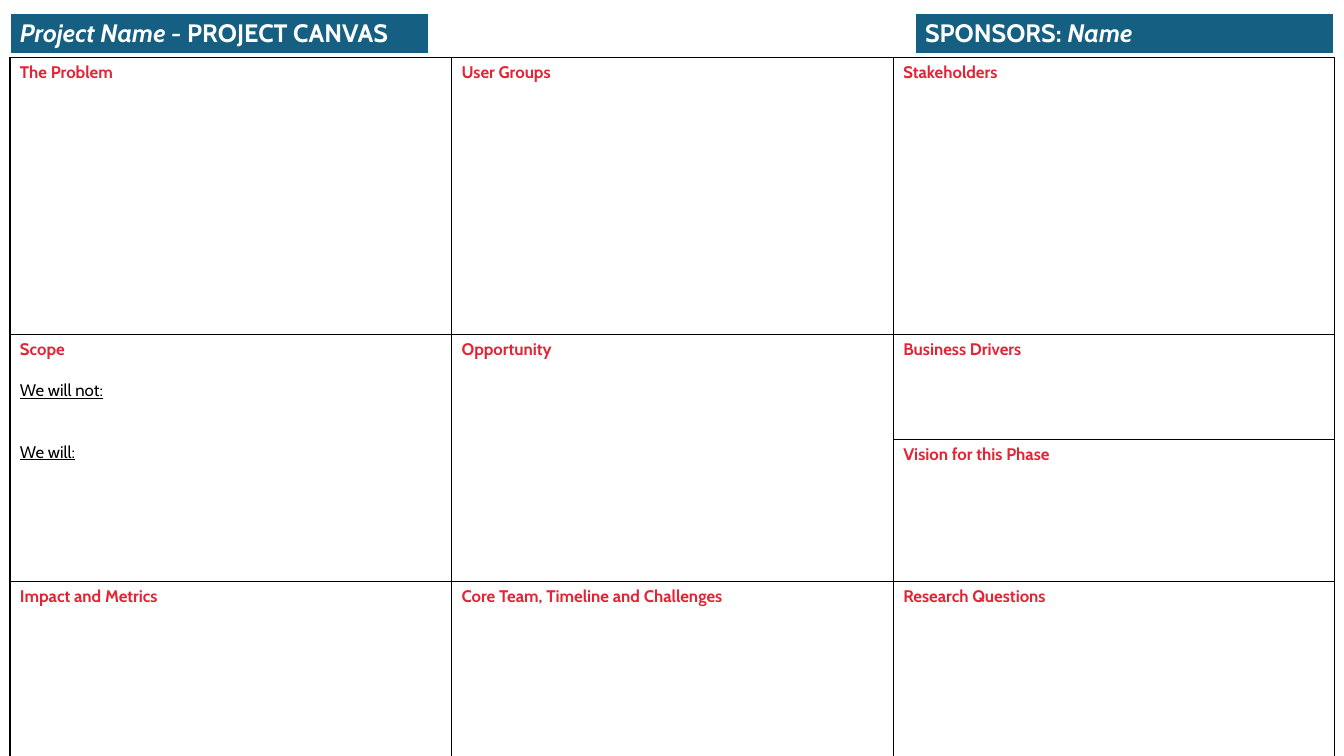
"""Build a one-page project canvas with two title banners."""
from dataclasses import dataclass

from lxml import etree
from pptx import Presentation
from pptx.dml import color
from pptx.oxml import ns
from pptx.util import Cm, Pt

FONT = "Cabin"
RED, BLACK, WHITE, TEAL = "E32434", "000000", "FFFFFF", "156082"


@dataclass(frozen=True)
class Span:
    text: str
    size: float = 12
    tint: str = RED
    bold: bool = True
    italic: bool = False
    underline: bool = False


@dataclass(frozen=True)
class Line:
    spans: tuple[Span, ...]
    before: float = 0


@dataclass(frozen=True)
class Entry:
    row: int
    column: int
    lines: tuple[Line, ...]
    rows: int = 1


@dataclass(frozen=True)
class Grid:
    left: float
    top: float
    columns: tuple[float, ...]
    rows: tuple[float, ...]
    entries: tuple[Entry, ...]
    border: str
    bottom: float = 1
    fill: str | None = None


def rgb(value: str) -> color.RGBColor:
    return color.RGBColor.from_string(value)


def heading(row: int, column: int, title: str, *more: Line, rows: int = 1) -> Entry:
    return Entry(row, column, (Line((Span(title),)), *more), rows)


def prompt(title: str, before: float) -> Line:
    return Line((Span(title, tint=BLACK, bold=False, underline=True),), before)


def banner(left: float, *spans: Span) -> Grid:
    entry = Entry(0, 0, (Line(spans),))
    return Grid(left, 0.33, (10.54,), (1.04,), (entry,), WHITE, 3, TEAL)


def banner_span(title: str, italic: bool = False) -> Span:
    return Span(title, 18, WHITE, italic=italic)


def set_borders(cell, tint: str, bottom: float) -> None:
    properties = cell._tc.get_or_add_tcPr()
    for index, side in enumerate("LRTB"):
        width = bottom if side == "B" else 1
        edge = etree.Element(ns.qn(f"a:ln{side}"), w=str(Pt(width)))
        paint = etree.SubElement(edge, ns.qn("a:solidFill"))
        etree.SubElement(paint, ns.qn("a:srgbClr"), val=tint)
        properties.insert(index, edge)


def write_lines(frame, lines: tuple[Line, ...]) -> None:
    for index, line in enumerate(lines):
        para = frame.add_paragraph() if index else frame.paragraphs[0]
        para.space_before = Pt(line.before)
        for span in line.spans:
            run = para.add_run()
            run.text = span.text
            font = run.font
            font.name, font.size = FONT, Pt(span.size)
            font.bold, font.italic = span.bold, span.italic
            font.underline = span.underline
            font.color.rgb = rgb(span.tint)


def draw_grid(page, grid: Grid) -> None:
    table = page.shapes.add_table(
        len(grid.rows), len(grid.columns), Cm(grid.left), Cm(grid.top),
        Cm(sum(grid.columns)), Cm(sum(grid.rows))).table
    table.first_row = table.horz_banding = False
    for column, width in zip(table.columns, grid.columns):
        column.width = Cm(width)
    for row, height in zip(table.rows, grid.rows):
        row.height = Cm(height)
    for cell in table.iter_cells():
        if grid.fill:
            cell.fill.solid()
            cell.fill.fore_color.rgb = rgb(grid.fill)
        else:
            cell.fill.background()
        set_borders(cell, grid.border, grid.bottom)
    for entry in grid.entries:
        cell = table.cell(entry.row, entry.column)
        if entry.rows > 1:
            cell.merge(table.cell(entry.row + entry.rows - 1, entry.column))
        write_lines(cell.text_frame, entry.lines)


CANVAS = Grid(0.25, 1.45, (11.13,) * 3, (6.98, 2.64, 3.58, 4.42), (
    heading(0, 0, "The Problem"),
    heading(0, 1, "User Groups"),
    heading(0, 2, "Stakeholders"),
    heading(1, 0, "Scope", prompt("We will not:", 14.6),
            prompt("We will:", 29.2), rows=2),
    heading(1, 1, "Opportunity", rows=2),
    heading(1, 2, "Business Drivers"),
    heading(2, 2, "Vision for this Phase"),
    heading(3, 0, "Impact and Metrics"),
    heading(3, 1, "Core Team, Timeline and Challenges"),
    heading(3, 2, "Research Questions"),
), BLACK)

PROJECT = banner(0.25, banner_span("Project Name - ", True),
                 banner_span("PROJECT CANVAS"))
SPONSORS = banner(23.06, banner_span("SPONSORS: "), banner_span("Name", True))


def main() -> None:
    deck = Presentation()
    deck.slide_width, deck.slide_height = Cm(33.87), Cm(19.05)
    page = deck.slides.add_slide(deck.slide_layouts[6])
    for grid in (CANVAS, PROJECT, SPONSORS):
        draw_grid(page, grid)
    deck.save("out.pptx")


if __name__ == "__main__":
    main()
